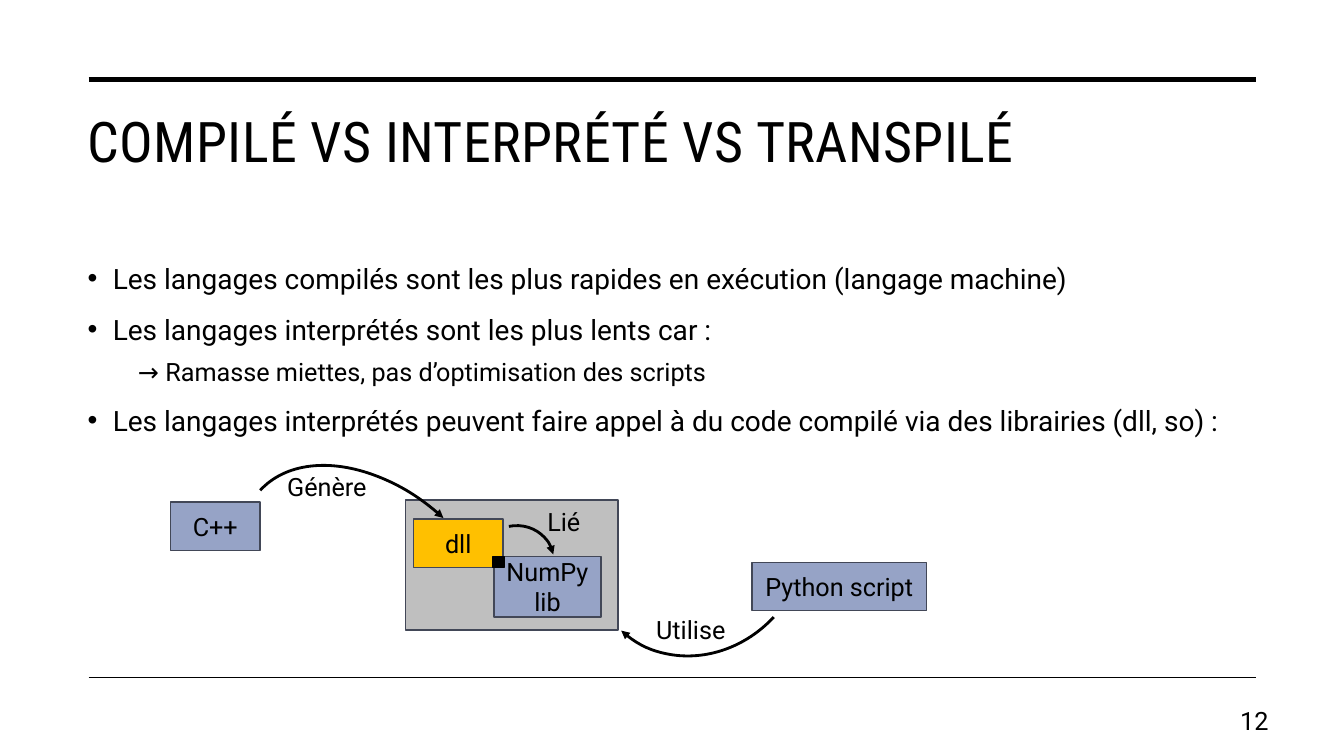
from dataclasses import dataclass

from lxml import etree
from pptx import Presentation
from pptx import util as u
from pptx.dml.color import RGBColor
from pptx.enum import shapes, text
from pptx.oxml.ns import qn


@dataclass(frozen=True)
class Theme:
    ink: str = "000000"
    edge: str = "424757"
    blue: str = "96A3C6"
    gold: str = "FFC000"
    grey: str = "BFBFBF"
    face: str = "Roboto"
    head: str = "Roboto Condensed"
    title: int = 40
    body: int = 20
    small: int = 18


@dataclass(frozen=True)
class Rule:
    y: float
    width: float


@dataclass(frozen=True)
class Item:
    words: str
    sub: bool = False


@dataclass(frozen=True)
class Box:
    area: tuple[float, float, float, float]
    fill: str
    lines: tuple[str, ...] = ()
    edge: str = Theme.edge


@dataclass(frozen=True)
class Label:
    words: str
    area: tuple[float, float, float, float]


@dataclass(frozen=True)
class Arc:
    area: tuple[float, float, float, float]
    turn: float
    end: str
    flips: tuple[str, ...] = ("flipV",)


LOOK = Theme()
TITLE = "COMPILÉ VS INTERPRÉTÉ VS TRANSPILÉ"
RULES = [Rule(0.79, 3.5), Rule(6.72, 1)]
ITEMS = [
    Item("Les langages compilés sont les plus rapides en exécution (langage machine)"),
    Item("Les langages interprétés sont les plus lents car :"),
    Item("→ Ramasse miettes, pas d’optimisation des scripts", sub=True),
    Item("Les langages interprétés peuvent faire appel à du code compilé "
         "via des librairies (dll, so) :"),
]
BOXES = [
    Box((4.02, 4.96, 2.11, 1.29), LOOK.grey),
    Box((1.69, 4.98, 0.89, 0.48), LOOK.blue, ("C++",)),
    Box((4.1, 5.15, 0.89, 0.48), LOOK.gold, ("dll",)),
    Box((7.46, 5.58, 1.73, 0.48), LOOK.blue, ("Python script",)),
    Box((4.9, 5.52, 1.06, 0.6), LOOK.blue, ("NumPy", "lib")),
    Box((4.89, 5.52, 0.11, 0.11), LOOK.ink, edge=LOOK.ink),
]
LABELS = [
    Label("Génère", (2.75, 4.63, 0.99, 0.4)),
    Label("Utilise", (6.41, 6.05, 0.9, 0.4)),
    Label("Lié", (5.33, 4.97, 0.55, 0.4)),
]
ARCS = [
    Arc((5.8, 4.41, 2.25, 2.04), 312.7, "tailEnd", ("flipH", "flipV")),
    Arc((4.76, 5.2, 0.72, 0.75), 258.4, "headEnd"),
    Arc((2.18, 4.87, 3.05, 2.05), 222.5, "headEnd"),
]


def place(area) -> list:
    return [u.Inches(n) for n in area]


def style(para, size: int, face: str = LOOK.face) -> None:
    para.font.size = u.Pt(size)
    para.font.name = face
    para.font.color.rgb = RGBColor.from_string(LOOK.ink)


def stroke(shape, color: str, width: float) -> None:
    shape.line.color.rgb = RGBColor.from_string(color)
    shape.line.width = u.Pt(width)


def add_title(slide) -> None:
    title = slide.shapes.title
    title.left, title.top, title.width, title.height = place((0.77, 1.01, 11.69, 1.5))
    frame = title.text_frame
    frame.text = TITLE
    frame.auto_size = text.MSO_AUTO_SIZE.NONE
    frame.vertical_anchor = text.MSO_ANCHOR.TOP
    para = frame.paragraphs[0]
    para.alignment = text.PP_ALIGN.LEFT
    style(para, LOOK.title, LOOK.head)
    para.runs[0]._r.get_or_add_rPr().set("spc", "30")


def add_rule(slide, rule: Rule) -> None:
    ends = place((0.88, rule.y, 12.46, rule.y))
    line = slide.shapes.add_connector(shapes.MSO_CONNECTOR.STRAIGHT, *ends)
    stroke(line, LOOK.ink, rule.width)
    etree.SubElement(line._element.spPr, qn("a:effectLst"))


def add_items(slide) -> None:
    frame = slide.shapes.add_textbox(*place((0.77, 2.51, 11.69, 3.98))).text_frame
    frame.word_wrap = True
    for i, item in enumerate(ITEMS):
        para = frame.paragraphs[0] if i == 0 else frame.add_paragraph()
        para.text = item.words
        para.level = int(item.sub)
        para.line_spacing = 1.1
        para.space_before = u.Pt(5 if item.sub else 10)
        props = para._p.get_or_add_pPr()
        props.set("marL", str(u.Inches(0.5 if item.sub else 0.25)))
        props.set("indent", str(u.Inches(0 if item.sub else -0.25)))
        if not item.sub:
            etree.SubElement(props, qn("a:buFont"), typeface="Arial")
            etree.SubElement(props, qn("a:buChar"), char="•")
        style(para, LOOK.small if item.sub else LOOK.body)


def add_box(slide, box: Box) -> None:
    shape = slide.shapes.add_shape(shapes.MSO_SHAPE.RECTANGLE, *place(box.area))
    shape.shadow.inherit = False
    shape.fill.solid()
    shape.fill.fore_color.rgb = RGBColor.from_string(box.fill)
    stroke(shape, box.edge, 1)
    if box.lines:
        frame = shape.text_frame
        frame.text = "\n".join(box.lines)
        frame.vertical_anchor = text.MSO_ANCHOR.MIDDLE
        for para in frame.paragraphs:
            para.alignment = text.PP_ALIGN.CENTER
            style(para, LOOK.small)


def add_label(slide, label: Label):
    frame = slide.shapes.add_textbox(*place(label.area)).text_frame
    frame.text = label.words
    frame.word_wrap = False
    style(frame.paragraphs[0], LOOK.small)
    return frame


def add_arc(slide, arc: Arc) -> None:
    shape = slide.shapes.add_shape(shapes.MSO_SHAPE.ARC, *place(arc.area))
    shape.shadow.inherit = False
    shape.fill.background()
    stroke(shape, LOOK.ink, 2)
    shape.rotation = arc.turn
    for flip in arc.flips:
        shape._element.spPr.xfrm.set(flip, "1")
    etree.SubElement(shape.line._get_or_add_ln(), qn("a:" + arc.end), type="triangle")


def main() -> None:
    deck = Presentation()
    deck.slide_width, deck.slide_height = place((13.33, 7.5))
    slide = deck.slides.add_slide(deck.slide_layouts[5])

    # Frame, title and points
    for rule in RULES:
        add_rule(slide, rule)
    add_title(slide)
    add_items(slide)

    # Diagram
    for box in BOXES:
        add_box(slide, box)
    for arc in ARCS:
        add_arc(slide, arc)
    for label in LABELS:
        add_label(slide, label)

    # Slide number
    number = add_label(slide, Label("12", (11.94, 6.95, 0.74, 0.4)))
    number.word_wrap = True
    number.vertical_anchor = text.MSO_ANCHOR.MIDDLE
    number.paragraphs[0].alignment = text.PP_ALIGN.RIGHT
    deck.save("out.pptx")


if __name__ == "__main__":
    main()
